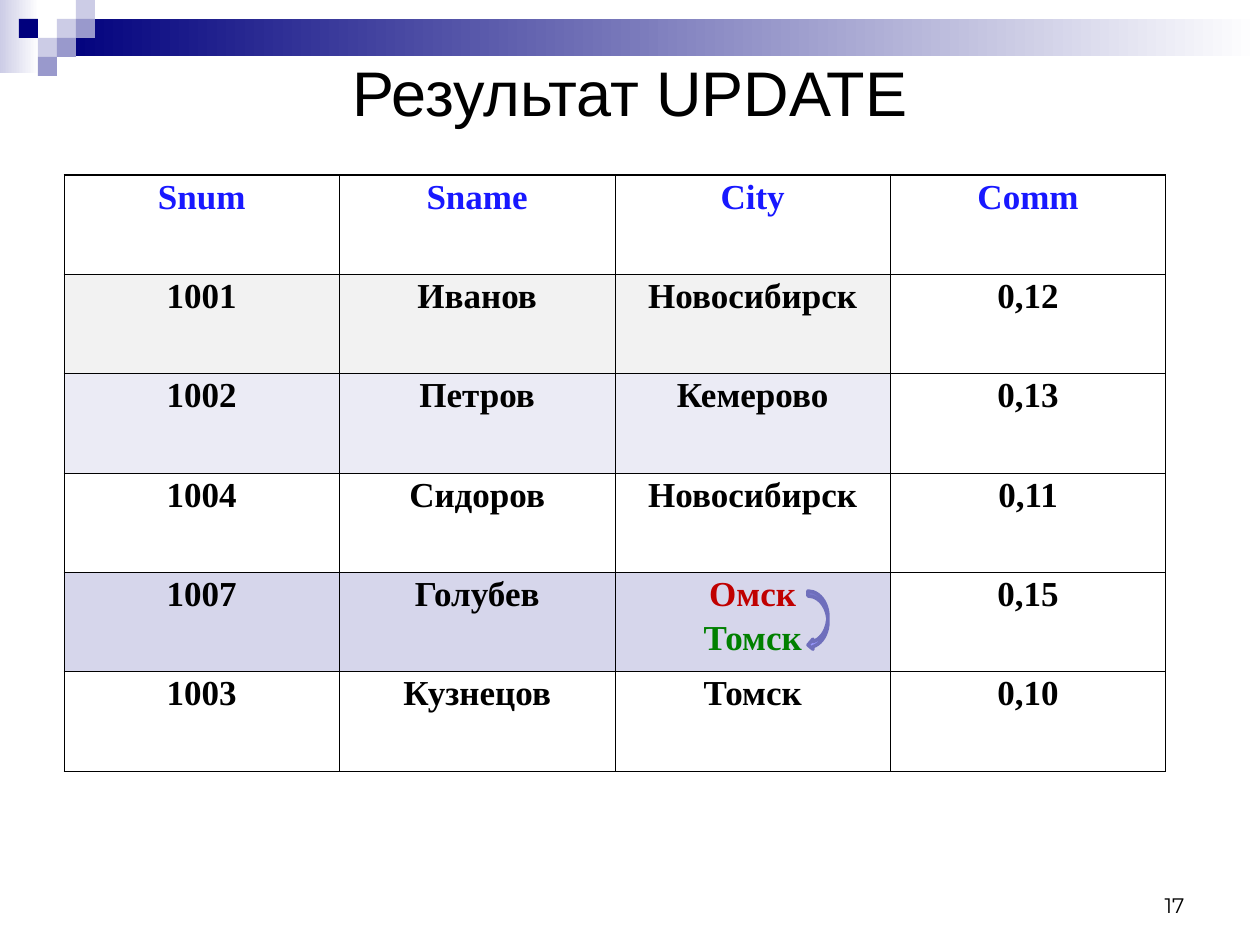
from lxml.etree import SubElement
from pptx import Presentation
from pptx.dml.color import RGBColor
from pptx.enum.shapes import MSO_SHAPE
from pptx.enum.text import MSO_ANCHOR, MSO_AUTO_SIZE, PP_ALIGN
from pptx.oxml.ns import qn
from pptx.util import Emu, Inches, Pt

PX = Inches(1) // 126
BLACK, NAVY, WHITE = "000000", "00007D", "FFFFFF"
PALE, LILAC = "CCCCE6", "9999CC"
HEADER, OLD_CITY, NEW_CITY = "1818FF", "C00000", "008000"
GRID = 19

MOSAIC = [
    (3, 1, PALE), (4, 0, PALE), (4, 1, LILAC), (2, 2, PALE),
    (1, 1, NAVY), (3, 2, LILAC), (2, 3, LILAC),
]
SALESPEOPLE = [
    ("Snum", "Sname", "City", "Comm"),
    ("1001", "Иванов", "Новосибирск", "0,12"),
    ("1002", "Петров", "Кемерово", "0,13"),
    ("1004", "Сидоров", "Новосибирск", "0,11"),
    ("1007", "Голубев", "Омск\nТомск", "0,15"),
    ("1003", "Кузнецов", "Томск", "0,10"),
]
ROW_TINTS = {1: "F2F2F2", 2: "EBEBF5", 4: "D6D6EB"}
TINTED_COLUMNS = 3


def rgb(value):
    """Turn a hex string into a colour."""
    return RGBColor.from_string(value)


def box(*lengths):
    """Turn px lengths into EMU."""
    return [Emu(length * PX) for length in lengths]


class SlideBuilder:
    """Hold the fonts and the current slide, and draw each kind of element."""

    title_font, table_font, number_font = "Arial", "Times New Roman", "Montserrat"

    def __init__(self, slide):
        """Keep the slide to draw on."""
        self.slide = slide

    def style(self, paragraph, font, size, color=BLACK, align=PP_ALIGN.CENTER, bold=False):
        """Format a paragraph and its runs."""
        paragraph.alignment = align
        for run in paragraph.runs:
            run.font.name, run.font.size, run.font.bold = font, Pt(size), bold
            run.font.color.rgb = rgb(color)

    def shape(self, kind, bounds, fill, fade=None, line=None):
        """Draw a preset shape with a solid or fading fill."""
        shape = self.slide.shapes.add_shape(kind, *box(*bounds))
        shape.shadow.inherit = False
        if fade:
            shape.fill.gradient()
            shape.fill.gradient_angle = 0
            for stop, color in zip(shape.fill.gradient_stops, (fill, fade)):
                stop.color.rgb = rgb(color)
        else:
            shape.fill.solid()
            shape.fill.fore_color.rgb = rgb(fill)
        if line:
            shape.line.color.rgb = rgb(line)
            shape.line.width = Pt(2)
        else:
            shape.line.fill.background()

    def title(self, bounds, text):
        """Place and format the title placeholder."""
        title = self.slide.shapes.title
        title.left, title.top, title.width, title.height = box(*bounds)
        frame = title.text_frame
        frame.text = text
        frame.word_wrap = True
        frame.auto_size = MSO_AUTO_SIZE.NONE
        frame.vertical_anchor = MSO_ANCHOR.MIDDLE
        self.style(frame.paragraphs[0], self.title_font, 36)

    def page_number(self, bounds, text):
        """Write the page number in a corner."""
        frame = self.slide.shapes.add_textbox(*box(*bounds)).text_frame
        frame.text = text
        frame.word_wrap = True
        frame.vertical_anchor = MSO_ANCHOR.BOTTOM
        self.style(frame.paragraphs[0], self.number_font, 12, align=PP_ALIGN.RIGHT)

    def borders(self, cell, top, bottom):
        """Give a cell thin sides and the given top and bottom widths."""
        properties = cell._tc.get_or_add_tcPr()
        for side, width in (("L", 0.45), ("R", 0.45), ("T", top), ("B", bottom)):
            edge = SubElement(properties, qn(f"a:ln{side}"), w=str(Pt(width)))
            fill = SubElement(edge, qn("a:solidFill"))
            SubElement(fill, qn("a:srgbClr"), val=BLACK)

    def cell(self, cell, text, colors, tint):
        """Fill a cell with one coloured line for each paragraph."""
        cell.text_frame.text = text
        for index, paragraph in enumerate(cell.text_frame.paragraphs):
            self.style(paragraph, self.table_font, 20, colors[index], bold=True)
            paragraph.line_spacing = 0.9
            if index:
                paragraph.space_before = Pt(5)
        if tint:
            cell.fill.solid()
            cell.fill.fore_color.rgb = rgb(tint)
        else:
            cell.fill.background()

    def table(self, bounds, rows):
        """Draw the table with a heavier frame around its header."""
        grid = self.slide.shapes.add_table(len(rows), len(rows[0]), *box(*bounds)).table
        grid.first_row = grid.horz_banding = False
        for row, values in enumerate(rows):
            top = 0.96 if row < 2 else 0.45
            bottom = 0.45 if row else 0.96
            for column, text in enumerate(values):
                cell = grid.cell(row, column)
                self.borders(cell, top, bottom)
                if "\n" in text:
                    colors = [OLD_CITY, NEW_CITY]
                else:
                    colors = [BLACK if row else HEADER]
                tint = ROW_TINTS.get(row) if column < TINTED_COLUMNS else None
                self.cell(cell, text, colors, tint)


def main():
    """Build and save the slide."""
    deck = Presentation()
    deck.slide_width, deck.slide_height = Inches(10), Inches(7.5)
    builder = SlideBuilder(deck.slides.add_slide(deck.slide_layouts[5]))
    builder.shape(MSO_SHAPE.RECTANGLE, (0, 0, 39, 73), PALE, fade=WHITE)
    builder.shape(MSO_SHAPE.RECTANGLE, (57, GRID, 1203, 37), NAVY, fade=WHITE)
    for column, row, color in MOSAIC:
        square = (column * GRID, row * GRID, GRID, GRID)
        builder.shape(MSO_SHAPE.RECTANGLE, square, color)
    builder.title((63, 45, 1134, 92), "Результат UPDATE")
    builder.table((64, 175, 1102, 596), SALESPEOPLE)
    builder.page_number((903, 861, 294, 63), "17")
    builder.shape(MSO_SHAPE.CURVED_LEFT_ARROW, (808, 591, 20, 59), "9999FF", line="6F6FBC")
    deck.save("out.pptx")


if __name__ == "__main__":
    main()
